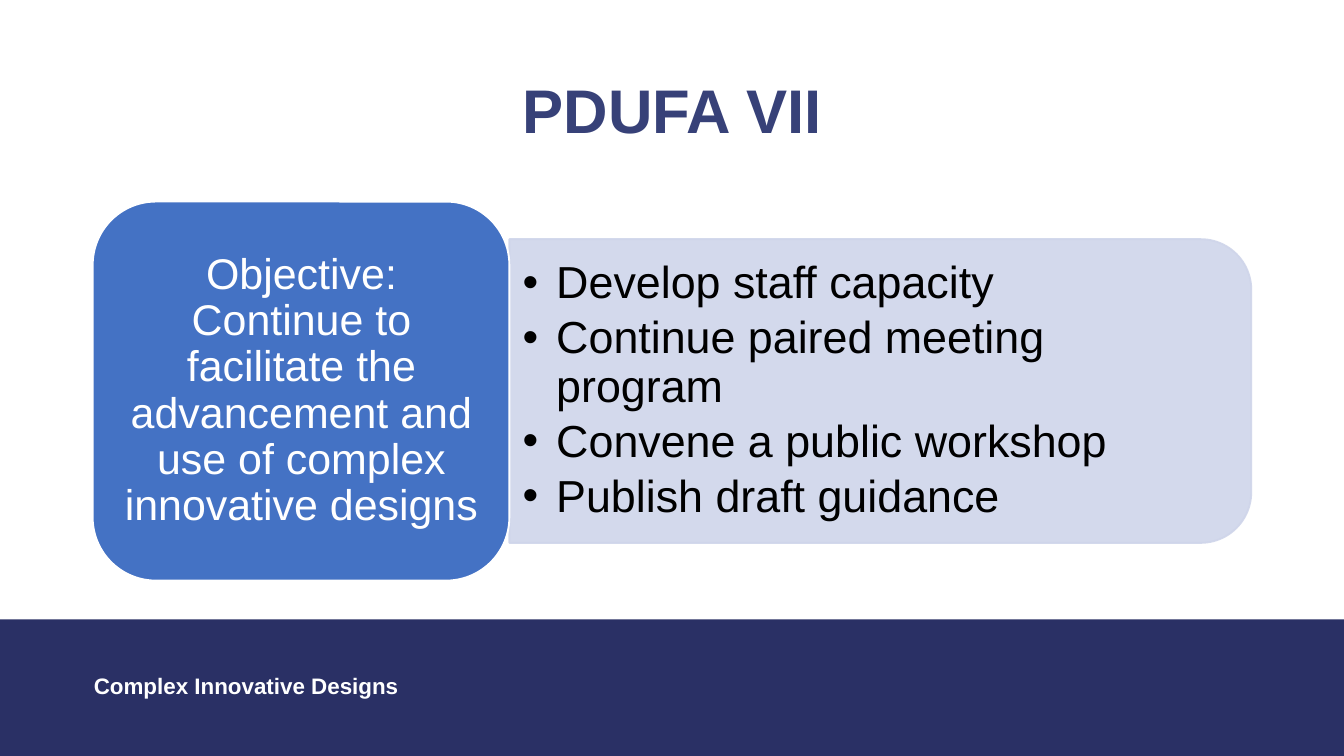
from lxml import etree
from pptx import Presentation
from pptx.dml.color import RGBColor
from pptx.enum.shapes import MSO_SHAPE
from pptx.enum.text import MSO_ANCHOR, PP_ALIGN
from pptx.oxml.ns import qn
from pptx.util import Inches, Pt

RECT = MSO_SHAPE.RECTANGLE
ROUND = MSO_SHAPE.ROUNDED_RECTANGLE
TAB = MSO_SHAPE.ROUND_2_SAME_RECTANGLE
MIDDLE = MSO_ANCHOR.MIDDLE
LEFT = PP_ALIGN.LEFT
CENTER = PP_ALIGN.CENTER

WIDE = 10
HIGH = WIDE * 9 / 16
FONT = "Arial"
COLORS = {
    "navy": "2A3065",
    "title": "374178",
    "blue": "4472C4",
    "pale": "CFD5EA",
    "white": "FFFFFF",
    "black": "000000",
}
GOALS = [
    "Develop staff capacity",
    "Continue paired meeting program",
    "Convene a public workshop",
    "Publish draft guidance",
]
AIM = ("Objective: Continue to facilitate the advancement "
       "and use of complex innovative designs")


def color(name):
    return RGBColor.from_string(COLORS[name])


def fade(fill, share):
    tint = fill._xPr.find(qn("a:solidFill"))[0]
    etree.SubElement(tint, qn("a:alpha"), val=str(share * 1000))


def add_block(slide, kind, box, fill, line=None, turn=0, share=100):
    shape = slide.shapes.add_shape(kind, *map(Inches, box))
    shape.shadow.inherit = False
    shape.rotation = turn
    shape.fill.solid()
    shape.fill.fore_color.rgb = color(fill)
    if line:
        shape.line.color.rgb = color(line)
        shape.line.width = Pt(1)
    else:
        shape.line.fill.background()
    if share < 100:
        fade(shape.fill, share)
        fade(shape.line.fill, share)


def add_bullet(para):
    props = para._p.get_or_add_pPr()
    props.set("marL", str(Inches(0.25)))
    props.set("indent", str(Inches(-0.25)))
    etree.SubElement(props, qn("a:buFont"), typeface=FONT)
    etree.SubElement(props, qn("a:buChar"), char="•")


def add_text(slide, box, lines, size, tint, bold=False, align=LEFT,
             bullet=False, after=0):
    frame = slide.shapes.add_textbox(*map(Inches, box)).text_frame
    frame.word_wrap = True
    frame.vertical_anchor = MIDDLE
    for i, line in enumerate(lines):
        para = frame.add_paragraph() if i else frame.paragraphs[0]
        para.alignment = align
        para.line_spacing = 0.9
        para.space_after = Pt(after)
        if bullet:
            add_bullet(para)
        run = para.add_run()
        run.text = line
        run.font.name = FONT
        run.font.size = Pt(size)
        run.font.bold = bold
        run.font.color.rgb = color(tint)


def main():
    deck = Presentation()
    deck.slide_width = Inches(WIDE)
    deck.slide_height = Inches(HIGH)
    slide = deck.slides.add_slide(deck.slide_layouts[6])

    add_block(slide, RECT, (0, 4.61, WIDE, HIGH - 4.61), "navy")
    add_text(slide, (0.6, 4.61, 9.14, HIGH - 4.61),
             ["Complex Innovative Designs"], 12, "white", bold=True)
    add_text(slide, (0.69, 0.3, 8.62, 1.09), ["PDUFA VII"],
             33, "title", bold=True, align=CENTER)

    add_block(slide, TAB, (5.42, 0.15, 2.26, 5.52), "pale", line="pale",
              turn=90, share=90)
    add_text(slide, (3.79, 1.89, 5.41, 2.04), GOALS, 24, "black",
             bullet=True, after=3.6)

    add_block(slide, ROUND, (0.69, 1.5, 3.1, 2.82), "blue", line="white")
    add_text(slide, (0.83, 1.64, 2.83, 2.54), [AIM], 23, "white",
             align=CENTER)

    deck.save("out.pptx")


if __name__ == "__main__":
    main()
